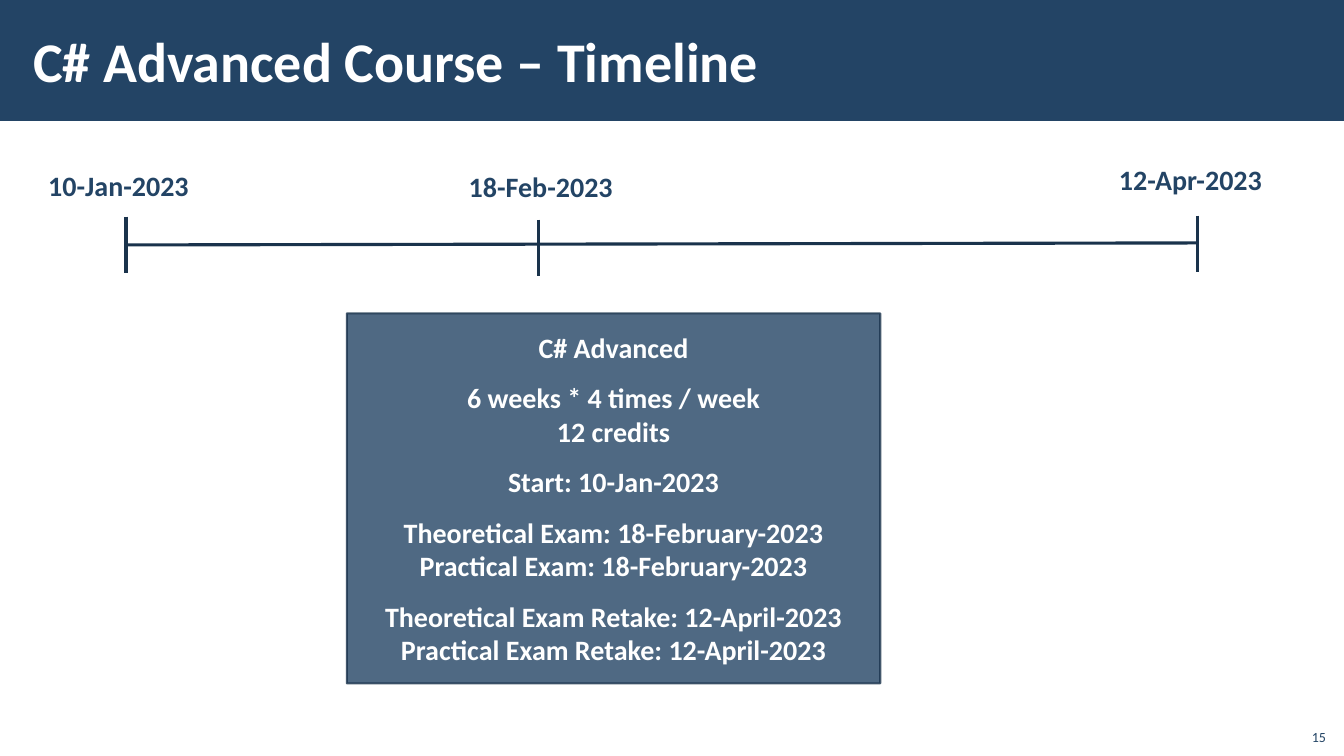
from dataclasses import dataclass

from lxml.etree import SubElement
from pptx import Presentation
from pptx.dml.color import RGBColor
from pptx.enum.shapes import MSO_CONNECTOR as Connector, MSO_SHAPE as Preset
from pptx.enum.text import MSO_ANCHOR as Anchor, PP_ALIGN as Align
from pptx.oxml.ns import qn
from pptx.slide import Slide
from pptx.text.text import TextFrame, _Paragraph as Paragraph
from pptx.util import Inches, Pt


@dataclass(frozen=True)
class Theme:
    """Colours, font and type sizes of the slide."""
    font: str = "Calibri"
    navy: RGBColor = RGBColor(0x23, 0x44, 0x65)
    dark_navy: RGBColor = RGBColor(0x1A, 0x33, 0x4C)
    white: RGBColor = RGBColor(0xFF, 0xFF, 0xFF)
    title_size: int = 40
    body_size: int = 20
    number_size: int = 10
    group_gap: int = 12
    axis_width: float = 2.25
    border_width: float = 1.5
    opacity: int = 80


@dataclass(frozen=True)
class Box:
    """A rectangle in inches."""
    left: float
    top: float
    width: float
    height: float

    def lengths(self) -> list[int]:
        """Return the four measures as lengths."""
        return [Inches(v) for v in (self.left, self.top, self.width, self.height)]


@dataclass(frozen=True)
class Milestone:
    """A date on the timeline, with its label and tick."""
    date: str
    label: Box
    tick_x: float
    tick_top: float


THEME = Theme()
TICK_HEIGHT = 0.56
AXIS_START_Y, AXIS_END_Y = 2.43, 2.41
MILESTONES = [
    Milestone("10-Jan-2023", Box(0.38, 1.62, 1.74, 0.44), 1.25, 2.15),
    Milestone("18-Feb-2023", Box(4.55, 1.63, 2.41, 0.44), 5.34, 2.18),
    Milestone("12-Apr-2023", Box(11, 1.56, 2.06, 0.44), 11.88, 2.14),
]
COURSE_FACTS = [
    ["C# Advanced"],
    ["6 weeks * 4 times / week", "12 credits"],
    ["Start: 10-Jan-2023"],
    ["Theoretical Exam: 18-February-2023", "Practical Exam: 18-February-2023"],
    ["Theoretical Exam Retake: 12-April-2023", "Practical Exam Retake: 12-April-2023"],
]


def add_run(paragraph: Paragraph, text: str, size: int, color: RGBColor, bold: bool = True) -> None:
    """Append a styled run to a paragraph."""
    run = paragraph.add_run()
    run.text = text
    run.font.name, run.font.size, run.font.bold = THEME.font, Pt(size), bold
    run.font.color.rgb = color


def add_text(slide: Slide, box: Box, text: str, size: int, color: RGBColor,
             bold: bool = True, align: Align = Align.LEFT, anchor: Anchor = Anchor.TOP) -> TextFrame:
    """Add a one-line text box and return its frame."""
    frame = slide.shapes.add_textbox(*box.lengths()).text_frame
    frame.word_wrap, frame.vertical_anchor = True, anchor
    frame.paragraphs[0].alignment = align
    add_run(frame.paragraphs[0], text, size, color, bold)
    return frame


def add_title(slide: Slide) -> None:
    """Draw the title band and its heading."""
    band = slide.shapes.add_shape(Preset.RECTANGLE, *Box(0, 0, 13.33, 1.2).lengths())
    band.shadow.inherit = False
    band.fill.solid()
    band.fill.fore_color.rgb = THEME.navy
    band.line.fill.background()
    frame = add_text(slide, Box(0.21, 0.11, 10.63, 0.97), "C# Advanced Course – Timeline",
                     THEME.title_size, THEME.white, anchor=Anchor.MIDDLE)
    frame.margin_left = frame.margin_right = Inches(0.12)
    frame.margin_top = frame.margin_bottom = Inches(0.04)


def add_line(slide: Slide, x1: float, y1: float, x2: float, y2: float) -> None:
    """Draw a straight timeline stroke."""
    ends = [Inches(v) for v in (x1, y1, x2, y2)]
    stroke = slide.shapes.add_connector(Connector.STRAIGHT, *ends)
    stroke.line.color.rgb = THEME.dark_navy
    stroke.line.width = Pt(THEME.axis_width)
    SubElement(stroke._element.spPr, qn("a:effectLst"))


def add_timeline(slide: Slide) -> None:
    """Draw the axis with its dated ticks."""
    add_line(slide, MILESTONES[0].tick_x, AXIS_START_Y, MILESTONES[-1].tick_x, AXIS_END_Y)
    for milestone in MILESTONES:
        add_line(slide, milestone.tick_x, milestone.tick_top,
                 milestone.tick_x, milestone.tick_top + TICK_HEIGHT)
        add_text(slide, milestone.label, milestone.date, THEME.body_size, THEME.navy)


def add_course_card(slide: Slide) -> None:
    """Draw the translucent card of course facts."""
    card = slide.shapes.add_shape(Preset.RECTANGLE, *Box(3.44, 3.11, 5.29, 3.67).lengths())
    card.shadow.inherit = False
    card.fill.solid()
    card.fill.fore_color.rgb = THEME.navy
    card.line.color.rgb = THEME.dark_navy
    card.line.width = Pt(THEME.border_width)
    for color in card._element.spPr.iter(qn("a:srgbClr")):
        SubElement(color, qn("a:alpha"), val=str(THEME.opacity * 1000))

    frame = card.text_frame
    frame.word_wrap, frame.vertical_anchor = True, Anchor.MIDDLE
    for group_index, facts in enumerate(COURSE_FACTS):
        for fact_index, fact in enumerate(facts):
            is_first = group_index == fact_index == 0
            paragraph = frame.paragraphs[0] if is_first else frame.add_paragraph()
            paragraph.alignment = Align.CENTER
            if group_index and not fact_index:
                paragraph.space_before = Pt(THEME.group_gap)
            add_run(paragraph, fact, THEME.body_size, THEME.white)


def main() -> None:
    """Build the course timeline slide and save it."""
    deck = Presentation()
    deck.slide_width, deck.slide_height = Inches(13.33), Inches(7.5)
    slide = deck.slides.add_slide(deck.slide_layouts[6])
    add_title(slide)
    add_course_card(slide)
    add_timeline(slide)
    add_text(slide, Box(12.85, 7.12, 0.4, 0.32), "15", THEME.number_size, THEME.navy,
             bold=False, align=Align.RIGHT, anchor=Anchor.BOTTOM)
    deck.save("out.pptx")


if __name__ == "__main__":
    main()
